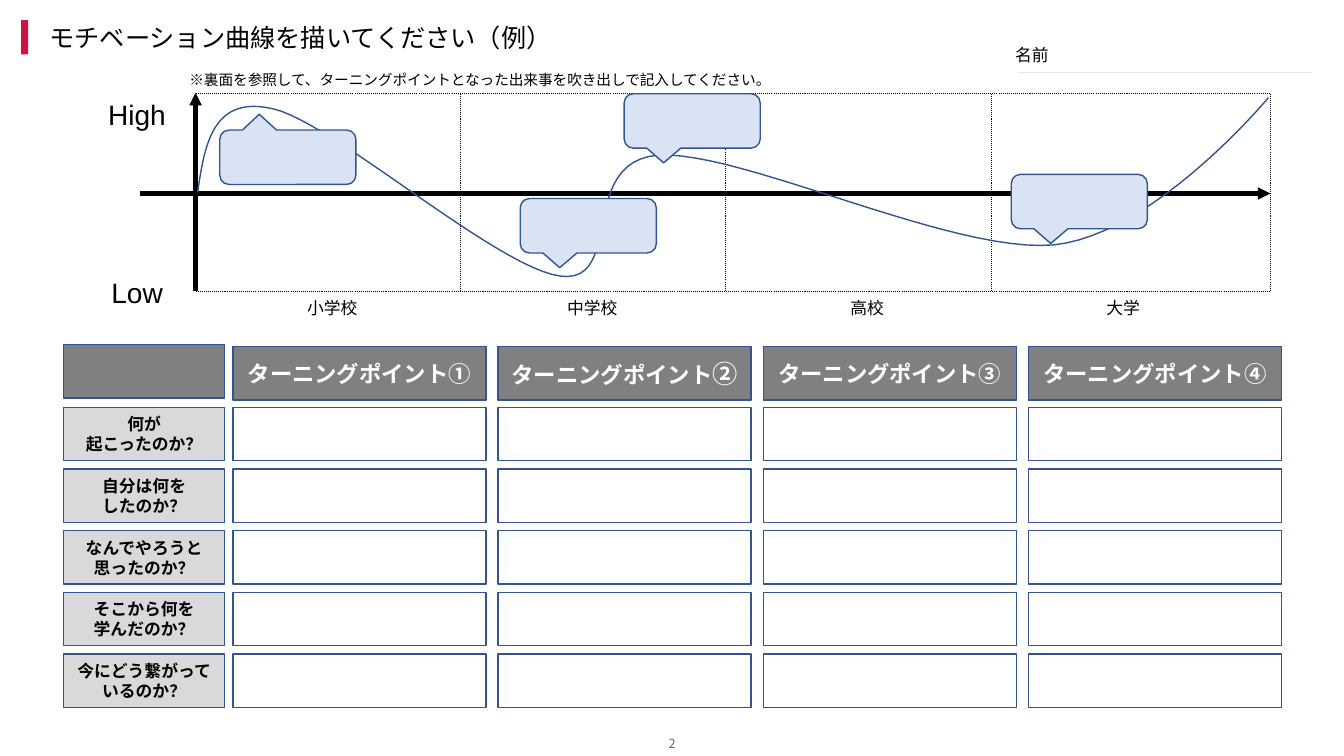
from pptx import Presentation
from pptx.dml.color import RGBColor
from pptx.enum.dml import MSO_LINE
from pptx.enum.shapes import MSO_CONNECTOR, MSO_SHAPE
from pptx.enum.text import MSO_ANCHOR, MSO_AUTO_SIZE, PP_ALIGN
from pptx.oxml.ns import qn
from pptx.util import Inches, Pt
from lxml.etree import SubElement

LATIN, CJK = "Arial", "Noto Sans CJK JP"
BLACK, WHITE, BLUE = "000000", "FFFFFF", "325491"
HEAD, LABEL, CALLOUT = "808080", "D9D9D9", "DAE3F3"
RED, RULE, NUMBER = "CF1144", "E7E6E6", "666666"


def rgb(value):
    return RGBColor.from_string(value)


class Sheet:
    """Draws styled elements on one slide."""

    def __init__(self, prs):
        self.s = prs.slides.add_slide(prs.slide_layouts[5])
        self.shapes = self.s.shapes

    def format_run(self, r, size, color, font, bold=False):
        r.font.size, r.font.name, r.font.bold = Pt(size), font, bold
        r.font.color.rgb = rgb(color)
        SubElement(r._r.get_or_add_rPr(), qn("a:ea")).set("typeface", CJK)

    def fill_text(self, sp, text, size, color=BLACK, font=LATIN, bold=False,
                  align=PP_ALIGN.LEFT, anchor=MSO_ANCHOR.TOP, wrap=True):
        tf = sp.text_frame
        tf.text = text
        tf.word_wrap, tf.vertical_anchor = wrap, anchor
        tf.auto_size = MSO_AUTO_SIZE.NONE
        for p in tf.paragraphs:
            p.alignment = align
            for r in p.runs:
                self.format_run(r, size, color, font, bold)

    def title(self, text, x, y, w, h, size):
        sp = self.shapes.title
        sp.left, sp.top, sp.width, sp.height = map(Inches, (x, y, w, h))
        self.fill_text(sp, text, size)

    def text(self, text, x, y, w, h, size, **style):
        sp = self.shapes.add_textbox(*map(Inches, (x, y, w, h)))
        self.fill_text(sp, text, size, **style)

    def outline(self, sp, fill, line):
        sp.shadow.inherit = False
        if fill:
            sp.fill.solid()
            sp.fill.fore_color.rgb = rgb(fill)
        else:
            sp.fill.background()
        if line:
            sp.line.color.rgb = rgb(line)
            sp.line.width = Pt(1)
        else:
            sp.line.fill.background()

    def box(self, x, y, w, h, fill, line=BLUE, kind=MSO_SHAPE.RECTANGLE):
        sp = self.shapes.add_shape(kind, *map(Inches, (x, y, w, h)))
        self.outline(sp, fill, line)
        return sp

    def caption_box(self, text, x, y, w, h, fill, size, color):
        sp = self.box(x, y, w, h, fill)
        self.fill_text(sp, text, size, color, CJK, True,
                       PP_ALIGN.CENTER, MSO_ANCHOR.MIDDLE)
        return sp

    def callout(self, x, y, tip):
        sp = self.box(x, y, 1.35, 0.54, CALLOUT,
                      kind=MSO_SHAPE.ROUNDED_RECTANGULAR_CALLOUT)
        for i, value in enumerate((-0.21, tip, 0.17)):
            sp.adjustments[i] = value

    def line(self, x1, y1, x2, y2, color=BLACK, width=0.75,
             dash=None, arrow=False):
        sp = self.shapes.add_connector(
            MSO_CONNECTOR.STRAIGHT, *map(Inches, (x1, y1, x2, y2)))
        sp.line.color.rgb = rgb(color)
        sp.line.width = Pt(width)
        if dash:
            sp.line.dash_style = dash
        spPr = sp._element.spPr
        if arrow:
            SubElement(spPr.find(qn("a:ln")), qn("a:tailEnd")).set("type", "triangle")
        SubElement(spPr, qn("a:effectLst"))

    def curve(self, start, segments, steps=24):
        points, p0 = [], start
        for p1, p2, p3 in segments:
            for t in (i / steps for i in range(1, steps + 1)):
                u = 1 - t
                points.append(tuple(
                    Inches(u**3 * a + 3 * u * u * t * b + 3 * u * t * t * c + t**3 * d)
                    for a, b, c, d in zip(p0, p1, p2, p3)))
            p0 = p3
        builder = self.shapes.build_freeform(*map(Inches, start))
        builder.add_line_segments(points, close=False)
        self.outline(builder.convert_to_shape(), None, BLUE)


def draw_chart(sheet):
    left, right, top, bottom = 1.94, 12.6, 0.93, 2.89
    sheet.line(1.39, 1.92, right, 1.92, width=3, arrow=True)
    sheet.line(left, bottom, left, 0.92, width=3, arrow=True)
    sheet.text("High", 0.73, 0.92, 1.26, 0.36, 20, align=PP_ALIGN.CENTER)
    sheet.text("Low", 0.88, 2.68, 0.96, 0.24, 20, align=PP_ALIGN.CENTER)
    for x in (4.57, 7.2, 9.83, right):
        sheet.line(x, top, x, bottom, dash=MSO_LINE.ROUND_DOT)
    for y in (top, bottom):
        sheet.line(left, y, right, y, dash=MSO_LINE.ROUND_DOT)
    for school, x, w in (("小学校", 2.89, 0.81), ("中学校", 5.47, 0.81),
                         ("高校", 8.29, 0.62), ("大学", 10.83, 0.62)):
        sheet.text(school, x, 2.9, w, 0.16, 12, align=PP_ALIGN.CENTER, wrap=False)
    sheet.text("※裏面を参照して、ターニングポイントとなった出来事を吹き出しで記入してください。",
               1.78, 0.65, 9.92, 0.15, 10.5)


def draw_grid(sheet):
    labels = ("何が\n起こったのか？", "自分は何を\nしたのか？", "なんでやろうと\n思ったのか？",
              "そこから何を\n学んだのか？", "今にどう繋がっているのか？")
    columns = [2.31 + 2.63 * i for i in range(4)]
    width, height = 2.51, 0.53
    sheet.box(0.63, 3.42, 1.6, height, HEAD)
    for x, mark in zip(columns, "①②③④"):
        sp = sheet.caption_box("ターニングポイント", x, 3.44, width, height, HEAD, 16, WHITE)
        r = sp.text_frame.paragraphs[0].add_run()
        r.text = mark
        sheet.format_run(r, 18 if mark == "②" else 16, WHITE, CJK, True)
    for row, label in enumerate(labels):
        y = 4.04 + 2.45 / 4 * row
        sheet.caption_box(label, 0.63, y, 1.6, height, LABEL, 12, BLACK)
        for x in columns:
            sheet.box(x, y, width, height, WHITE)


def main():
    prs = Presentation()
    prs.slide_width, prs.slide_height = Inches(13.33), Inches(7.5)
    sheet = Sheet(prs)
    sheet.title("モチベーション曲線を描いてください（例）", 0.39, 0.17, 7.67, 0.4, 18)
    sheet.text("2", 6.46, 7.25, 0.41, 0.25, 9, color=NUMBER, font=CJK,
               align=PP_ALIGN.CENTER, anchor=MSO_ANCHOR.MIDDLE, wrap=False)
    sheet.box(0.21, 0.2, 0.07, 0.34, RED, line=None)
    sheet.line(10.1, 0.72, 13.01, 0.72, RULE)
    sheet.text("名前", 9.97, 0.39, 0.75, 0.3, 12)
    draw_chart(sheet)
    draw_grid(sheet)
    sheet.curve((1.96, 1.91), (
        ((2.03, 1.43), (2.11, 0.94), (2.71, 1.08)),
        ((3.31, 1.22), (4.93, 2.66), (5.56, 2.74)),
        ((6.2, 2.82), (5.72, 1.6), (6.53, 1.54)),
        ((7.35, 1.49), (9.44, 2.52), (10.45, 2.43)),
        ((11.45, 2.33), (12.58, 0.97), (12.58, 0.97))))
    for x, y, tip in ((5.16, 1.97, 0.77), (6.19, 0.93, 0.77),
                      (10.03, 1.73, 0.77), (2.18, 1.29, -0.79)):
        sheet.callout(x, y, tip)
    prs.save("out.pptx")


if __name__ == "__main__":
    main()
